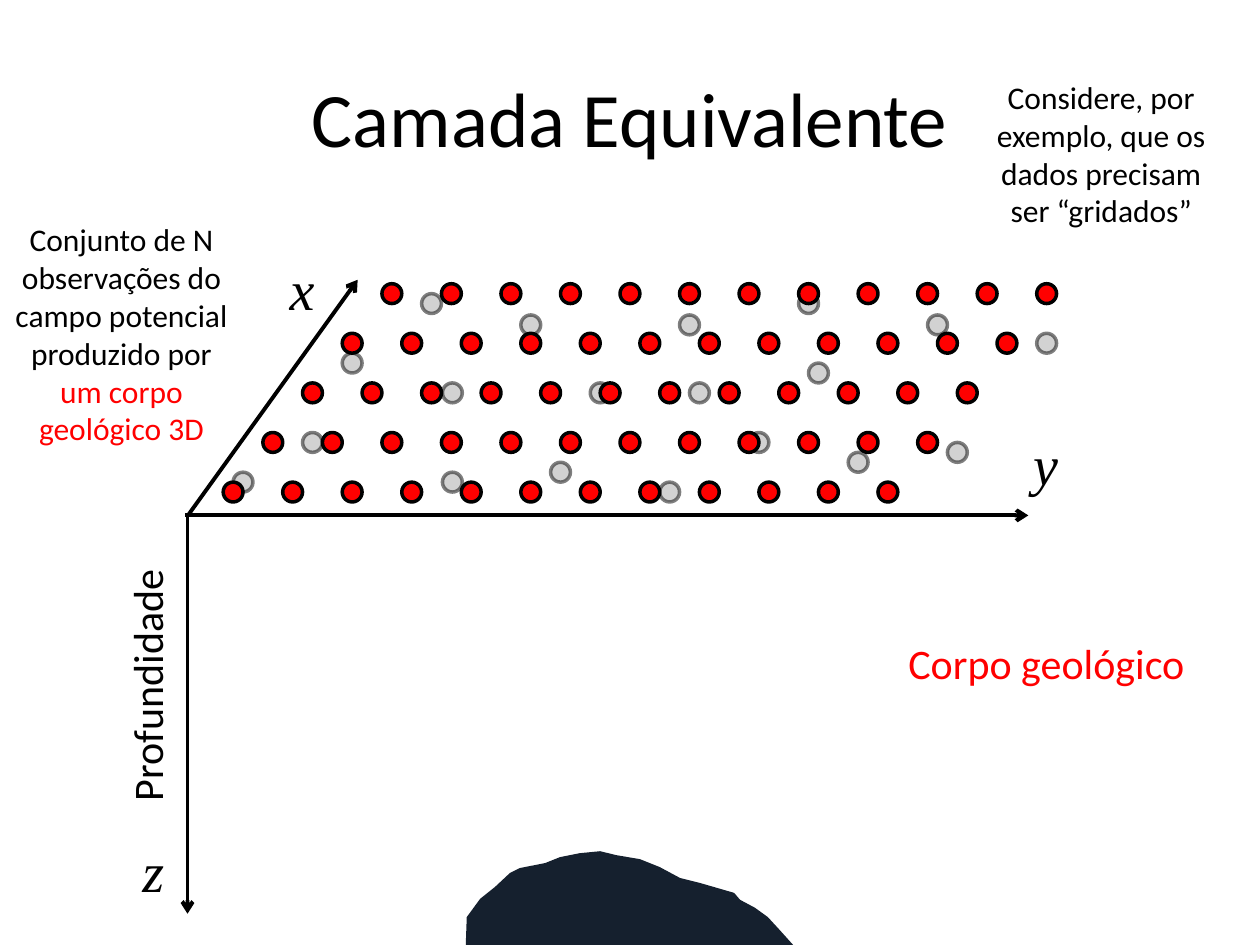
from lxml.etree import SubElement
from pptx import Presentation
from pptx.dml.color import RGBColor
from pptx.enum.shapes import MSO_CONNECTOR as Connector, MSO_SHAPE as Shape
from pptx.enum.text import MSO_ANCHOR as Anchor, PP_ALIGN as Align
from pptx.oxml.ns import qn
from pptx.util import Cm, Pt

BLACK, RED, GRAY, NAVY = "000000", "FF0000", "A6A6A6", "15202E"
SANS, SERIF = "Calibri", "Times New Roman"

TITLE = "Camada Equivalente"
# runs (text, colour), place (left, top, width, height), size, rotation
LABELS = [
    ([("Profundidade", BLACK)], (-0.15, 13.18, 6.2, 1.27), 24, 270),
    ([("Conjunto de N observações do campo potencial produzido por ", BLACK),
      ("um corpo geológico 3D", RED)], (0, 4.32, 4.9, 4.88), 18, 0),
    ([("Corpo geológico", RED)], (16.89, 12.73, 8.41, 1.27), 24, 0),
    ([("Considere, por exemplo, que os dados precisam ser “gridados”", BLACK)],
     (19.66, 1.45, 5.08, 3.33), 18, 0),
]
# axis name, line start, line end, left and top of its letter
AXES = [
    ("z", (3.78, 10.41), (3.78, 18.42), (1.9, 16.74)),
    ("y", (3.73, 10.39), (20.73, 10.39), (19.89, 8.53)),
    ("x", (3.81, 10.36), (7.21, 5.64), (4.9, 5)),
]
BODY_OUTLINE = [
    (9.39, 19.05), (9.41, 18.49), (9.68, 18.12), (9.98, 17.88), (10.28, 17.6),
    (10.48, 17.5), (10.99, 17.4), (11.29, 17.28), (11.69, 17.2), (12.1, 17.16),
    (12.42, 17.24), (12.9, 17.32), (13.3, 17.48), (13.71, 17.7), (14.11, 17.8),
    (14.8, 18), (14.92, 18.14), (15.22, 18.3), (15.48, 18.49), (15.72, 18.75),
    (15.99, 19.05),
]
OBSERVATIONS = [
    (8.5, 5.92), (10.5, 6.35), (8.92, 7.72), (6.9, 7.12), (6.1, 8.72),
    (8.92, 9.52), (11.9, 7.72), (13.7, 6.35), (11.1, 9.32), (13.9, 7.72),
    (13.3, 9.72), (16.1, 5.92), (16.3, 7.32), (15.1, 8.72), (18.7, 6.35),
    (17.1, 9.12), (19.1, 8.92), (20.9, 6.72), (4.7, 9.52),
]
ROWS, COLUMNS, DOT = 5, 12, 0.4
GRID_LEFT, GRID_TOP = 7.7, 5.72
COLUMN_STEP, ROW_STEP, ROW_SHIFT = 1.2, 1, 0.8
GRID = [(GRID_LEFT + COLUMN_STEP * column - ROW_SHIFT * row, GRID_TOP + ROW_STEP * row)
        for column in range(COLUMNS) for row in range(ROWS)]


def rgb(color):
    """Turn a hex string into a colour."""
    return RGBColor.from_string(color)


def lengths(values):
    """Turn centimetres into slide lengths."""
    return [Cm(round(value, 2)) for value in values]


def add_label(runs, place, size, rotation=0, font=SANS, italic=False):
    """Add a centred text box of coloured runs."""
    box = slide.shapes.add_textbox(*lengths(place))
    box.rotation = rotation
    box.text_frame.word_wrap = True
    para = box.text_frame.paragraphs[0]
    para.alignment = Align.CENTER
    para.font.name, para.font.size, para.font.italic = font, Pt(size), italic
    for text, color in runs:
        span = para.add_run()
        span.text = text
        span.font.color.rgb = rgb(color)


def add_axis(name, start, end, letter):
    """Add an arrow and the letter that names it."""
    axis = slide.shapes.add_connector(Connector.STRAIGHT, *lengths(start + end))
    axis.line.color.rgb, axis.line.width = rgb(BLACK), Pt(2.25)
    SubElement(axis.line._get_or_add_ln(), qn("a:tailEnd"), type="arrow")
    SubElement(axis._element.spPr, qn("a:effectLst"))
    add_label([(name, BLACK)], (*letter, 2.38, 1.62), 32, font=SERIF, italic=True)


def add_body():
    """Add the buried body, cut by the lower edge of the slide."""
    points = [tuple(lengths(point)) for point in BODY_OUTLINE]
    builder = slide.shapes.build_freeform(*points[0])
    builder.add_line_segments(points[1:], close=True)
    body = builder.convert_to_shape()
    body.shadow.inherit = False
    body.fill.solid()
    body.fill.fore_color.rgb = rgb(NAVY)
    body.line.fill.background()


def add_dots(places, color, opacity=None):
    """Add a group of outlined dots, see-through if an opacity is given."""
    group = slide.shapes.add_group_shape()
    for place in places:
        dot = group.shapes.add_shape(Shape.OVAL, *lengths((*place, DOT, DOT)))
        dot.shadow.inherit = False
        dot.fill.solid()
        dot.fill.fore_color.rgb = rgb(color)
        dot.line.color.rgb, dot.line.width = rgb(BLACK), Pt(2)
        if opacity:
            for tone in dot._element.spPr.iter(qn("a:srgbClr")):
                SubElement(tone, qn("a:alpha"), val=str(opacity * 1000))


deck = Presentation()
deck.slide_width, deck.slide_height = Cm(25.4), Cm(19.05)
slide = deck.slides.add_slide(deck.slide_layouts[5])

title = slide.shapes.title
title.left, title.top, title.width, title.height = lengths((1.27, 0.76, 22.86, 3.18))
title.text_frame.text = TITLE
title.text_frame.vertical_anchor = Anchor.MIDDLE
heading = title.text_frame.paragraphs[0]
heading.alignment = Align.CENTER
heading.font.name, heading.font.size = SANS, Pt(44)
heading.font.color.rgb = rgb(BLACK)

for axis_data in AXES:
    add_axis(*axis_data)
add_body()
for label in LABELS:
    add_label(*label)
add_dots(OBSERVATIONS, GRAY, opacity=50)
add_dots(GRID, RED)

deck.save("out.pptx")
